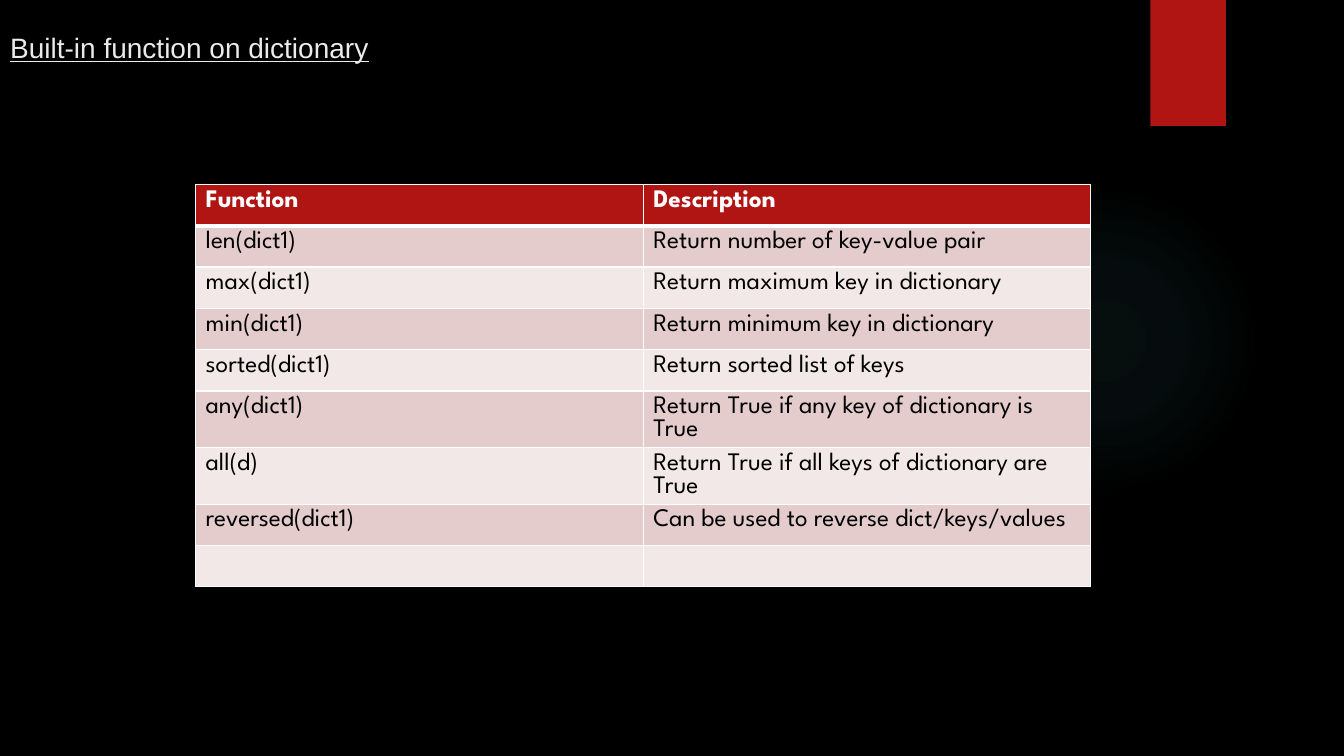
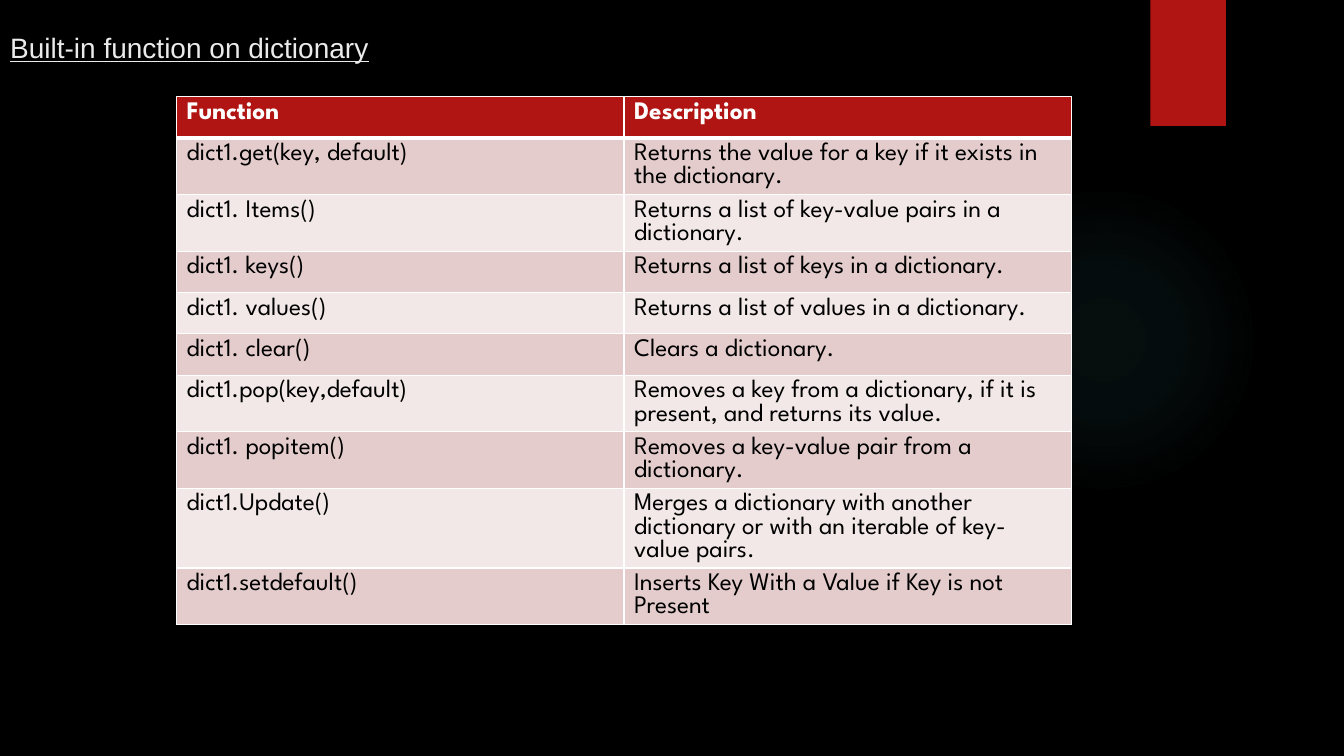
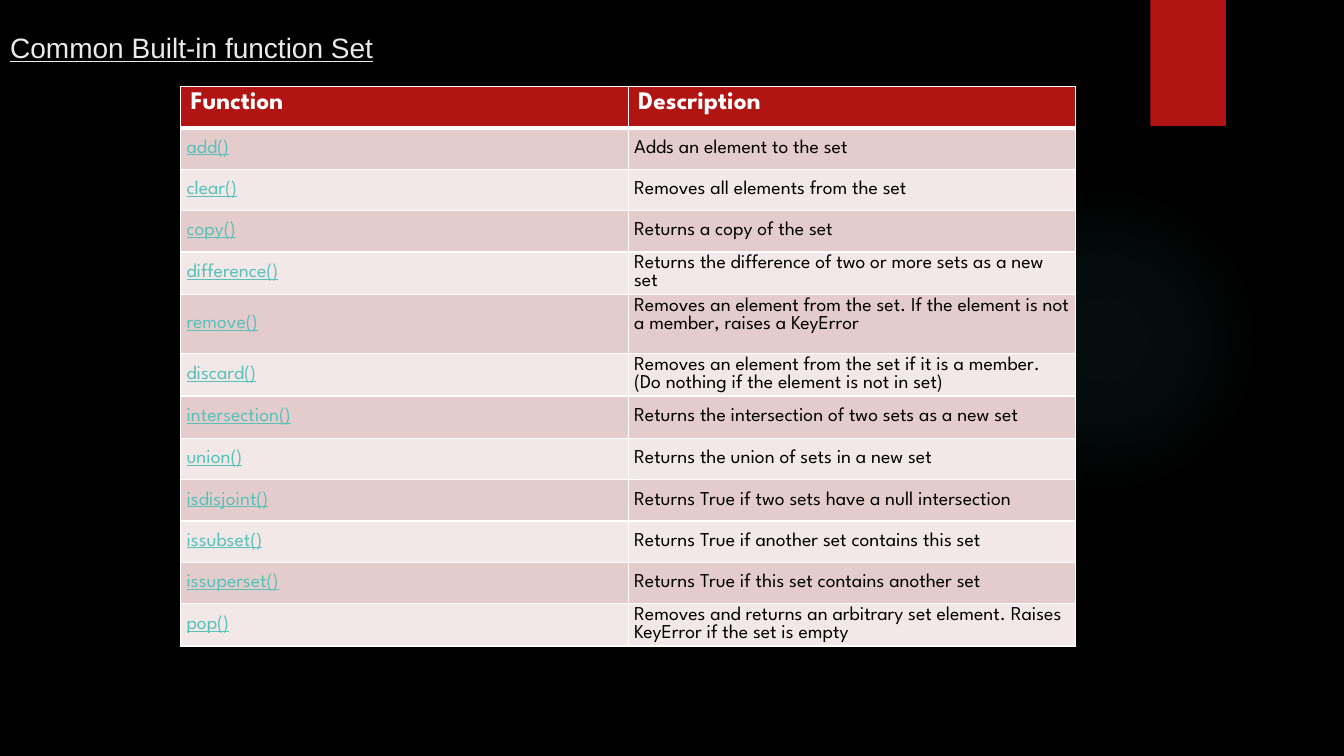
from dataclasses import dataclass, field

from lxml import etree
from pptx import Presentation
from pptx.dml.color import RGBColor
from pptx.enum.shapes import MSO_SHAPE
from pptx.enum.text import MSO_ANCHOR, MSO_AUTO_SIZE, PP_ALIGN
from pptx.oxml import parse_xml
from pptx.oxml.ns import nsdecls, qn
from pptx.util import Inches, Pt

ELLIPSE, RECTANGLE = MSO_SHAPE.OVAL, MSO_SHAPE.RECTANGLE
TOP, MIDDLE = MSO_ANCHOR.TOP, MSO_ANCHOR.MIDDLE
TITLE_ONLY = 5


@dataclass(frozen=True)
class Theme:
    background: RGBColor = RGBColor.from_string("000000")
    accent: RGBColor = RGBColor.from_string("B01513")
    glow: RGBColor = RGBColor.from_string("50B9C1")
    title: RGBColor = RGBColor.from_string("EBEBEB")
    header_text: RGBColor = RGBColor.from_string("FFFFFF")
    text: RGBColor = RGBColor.from_string("000000")
    link: RGBColor = RGBColor.from_string("58C1BA")
    border: RGBColor = RGBColor.from_string("FFFFFF")
    odd_row: RGBColor = RGBColor.from_string("E4CCCC")
    even_row: RGBColor = RGBColor.from_string("F2E8E7")
    title_font: str = "Arial"
    table_font: str = "League Spartan"
    title_size: int = 20
    table_size: int = 18
    compact_size: int = 14


THEME = Theme()
HEADER = ("Function", "Description")
COLUMN_WIDTH = 4.44
ROW_HEIGHT = 0.41
THIN, THICK = 1, 3
COMPACT_MARGINS = {
    "margin_left": Inches(0.06), "margin_right": Inches(0.06),
    "margin_top": Inches(0.03), "margin_bottom": Inches(0.03),
}


@dataclass(frozen=True)
class FunctionTable:
    """One page: its title and a table of functions; compact tables show link-styled names."""
    title: str
    left: float
    top: float
    rows: list[tuple[str, str]]
    compact: bool = False
    tall_rows: dict[int, float] = field(default_factory=dict)


TABLES = [
    FunctionTable("Built-in function on dictionary", 1.94, 1.83, [
        ("len(dict1)", "Return number of key-value pair"),
        ("max(dict1)", "Return maximum key in dictionary"),
        ("min(dict1)", "Return minimum key in dictionary"),
        ("sorted(dict1)", "Return sorted list of keys"),
        ("any(dict1)", "Return True if any key of dictionary is True"),
        ("all(d)", "Return True if all keys of dictionary are True"),
        ("reversed(dict1)", "Can be used to reverse dict/keys/values"),
        ("", ""),
    ]),
    FunctionTable("Built-in function on dictionary", 1.75, 0.96, [
        ("dict1.get(key, default)", "Returns the value for a key if it exists in the dictionary."),
        ("dict1. Items()", "Returns a list of key-value pairs in a dictionary."),
        ("dict1. keys()", "Returns a list of keys in a dictionary."),
        ("dict1. values()", "Returns a list of values in a dictionary."),
        ("dict1. clear()", "Clears a dictionary."),
        ("dict1.pop(key,default)",
         "Removes a key from a dictionary, if it is present, and returns its value."),
        ("dict1. popitem()", "Removes a key-value pair from a dictionary."),
        ("dict1.Update()",
         "Merges a dictionary with another dictionary or with an iterable of key-value pairs."),
        ("dict1.setdefault()", "Inserts Key With a Value if Key is not Present"),
    ]),
    FunctionTable("Common Built-in function Set", 1.79, 0.86, [
        ("add()", "Adds an element to the set"),
        ("clear()", "Removes all elements from the set"),
        ("copy()", "Returns a copy of the set"),
        ("difference()", "Returns the difference of two or more sets as a new set"),
        ("remove()",
         "Removes an element from the set. If the element is not a member, raises a KeyError"),
        ("discard()",
         "Removes an element from the set if it is a member. (Do nothing if the element is not in set)"),
        ("intersection()", "Returns the intersection of two sets as a new set"),
        ("union()", "Returns the union of sets in a new set"),
        ("isdisjoint()", "Returns True if two sets have a null intersection"),
        ("issubset()", "Returns True if another set contains this set"),
        ("issuperset()", "Returns True if this set contains another set"),
        ("pop()", "Removes and returns an arbitrary set element. Raises KeyError if the set is empty"),
    ], compact=True, tall_rows={5: 0.59, 7: 0.42}),
]


def set_attributes(target, values: dict) -> None:
    for name, value in values.items():
        setattr(target, name, value)


def write_text(frame, text: str, color: RGBColor, **font) -> None:
    span = frame.paragraphs[0].add_run()
    span.text = text
    span.font.color.rgb = color
    set_attributes(span.font, font)


def add_plain_shape(page, kind, left: float, top: float, width: float, height: float):
    shape = page.shapes.add_shape(kind, Inches(left), Inches(top), Inches(width), Inches(height))
    shape.shadow.inherit = False
    shape.line.fill.background()
    return shape


def set_glow(shape) -> None:
    """Fill the shape with a circular gradient that fades out from its centre."""
    stops = "".join(
        f'<a:gs pos="{position * 1000}"><a:srgbClr val="{THEME.glow}">'
        f'<a:alpha val="{alpha * 1000}"/></a:srgbClr></a:gs>'
        for position, alpha in ((0, 7), (36, 6), (69, 0)))
    gradient = parse_xml(
        f'<a:gradFill {nsdecls("a")}><a:gsLst>{stops}</a:gsLst><a:path path="circle">'
        '<a:fillToRect l="50000" t="50000" r="50000" b="50000"/></a:path></a:gradFill>')
    shape.element.spPr.find(qn("a:prstGeom")).addnext(gradient)


def style_layout(layout, page) -> None:
    """Draw the shared decoration on a page and move it to the layout of all pages."""
    layout.background.fill.solid()
    layout.background.fill.fore_color.rgb = THEME.background
    glow = add_plain_shape(page, ELLIPSE, 9.41, 1.83, 3.08, 3.08)
    set_glow(glow)
    ribbon = add_plain_shape(page, RECTANGLE, 11.41, 0, 0.75, 1.25)
    ribbon.fill.solid()
    ribbon.fill.fore_color.rgb = THEME.accent
    for shape in (glow, ribbon):
        layout.shapes.element.append(shape.element)


def add_title(page, text: str) -> None:
    title = page.shapes.title
    set_attributes(title, {"left": Inches(0), "top": Inches(0.25),
                           "width": Inches(4.92), "height": Inches(0.82)})
    frame = title.text_frame
    set_attributes(frame, {"word_wrap": True, "vertical_anchor": TOP,
                           "auto_size": MSO_AUTO_SIZE.NONE})
    frame.paragraphs[0].alignment = PP_ALIGN.LEFT
    write_text(frame, text, THEME.title, name=THEME.title_font,
               size=Pt(THEME.title_size), underline=True)


def set_borders(cell, top: int, bottom: int) -> None:
    properties = cell._tc.get_or_add_tcPr()
    widths = {"lnL": THIN, "lnR": THIN, "lnT": top, "lnB": bottom}
    for position, (side, width) in enumerate(widths.items()):
        line = etree.Element(qn(f"a:{side}"), w=str(Pt(width)))
        fill = etree.SubElement(line, qn("a:solidFill"))
        etree.SubElement(fill, qn("a:srgbClr"), val=str(THEME.border))
        properties.insert(position, line)


def fill_cell(cell, text: str, row: int, column: int, data: FunctionTable) -> None:
    header = row == 0
    compact = data.compact and not header
    link = compact and column == 0
    cell.fill.solid()
    cell.fill.fore_color.rgb = (
        THEME.accent if header else THEME.odd_row if row % 2 else THEME.even_row)
    set_borders(cell, THICK if row == 1 else THIN, THICK if header else THIN)
    if compact:
        set_attributes(cell, COMPACT_MARGINS)
        roomy = column == 1 and data.tall_rows.get(row, 0) > 0.5
        cell.vertical_anchor = TOP if roomy else MIDDLE
    if text:
        color = THEME.header_text if header else THEME.link if link else THEME.text
        size = THEME.compact_size if compact else THEME.table_size
        write_text(cell.text_frame, text, color, name=THEME.table_font,
                   size=Pt(size), bold=header, underline=link)


def add_function_table(page, data: FunctionTable) -> None:
    rows = [HEADER, *data.rows]
    table = page.shapes.add_table(
        len(rows), len(HEADER), Inches(data.left), Inches(data.top),
        Inches(COLUMN_WIDTH * len(HEADER)), Inches(ROW_HEIGHT * len(rows))).table
    table.horz_banding = False
    for row, texts in enumerate(rows):
        table.rows[row].height = Inches(data.tall_rows.get(row, ROW_HEIGHT))
        for column, text in enumerate(texts):
            fill_cell(table.cell(row, column), text, row, column, data)


def main() -> None:
    deck = Presentation()
    deck.slide_width, deck.slide_height = Inches(13.33), Inches(7.5)
    layout = deck.slide_layouts[TITLE_ONLY]
    pages = [deck.slides.add_slide(layout) for _ in TABLES]
    style_layout(layout, pages[0])
    for page, data in zip(pages, TABLES):
        add_title(page, data.title)
        add_function_table(page, data)
    deck.save("out.pptx")


if __name__ == "__main__":
    main()
